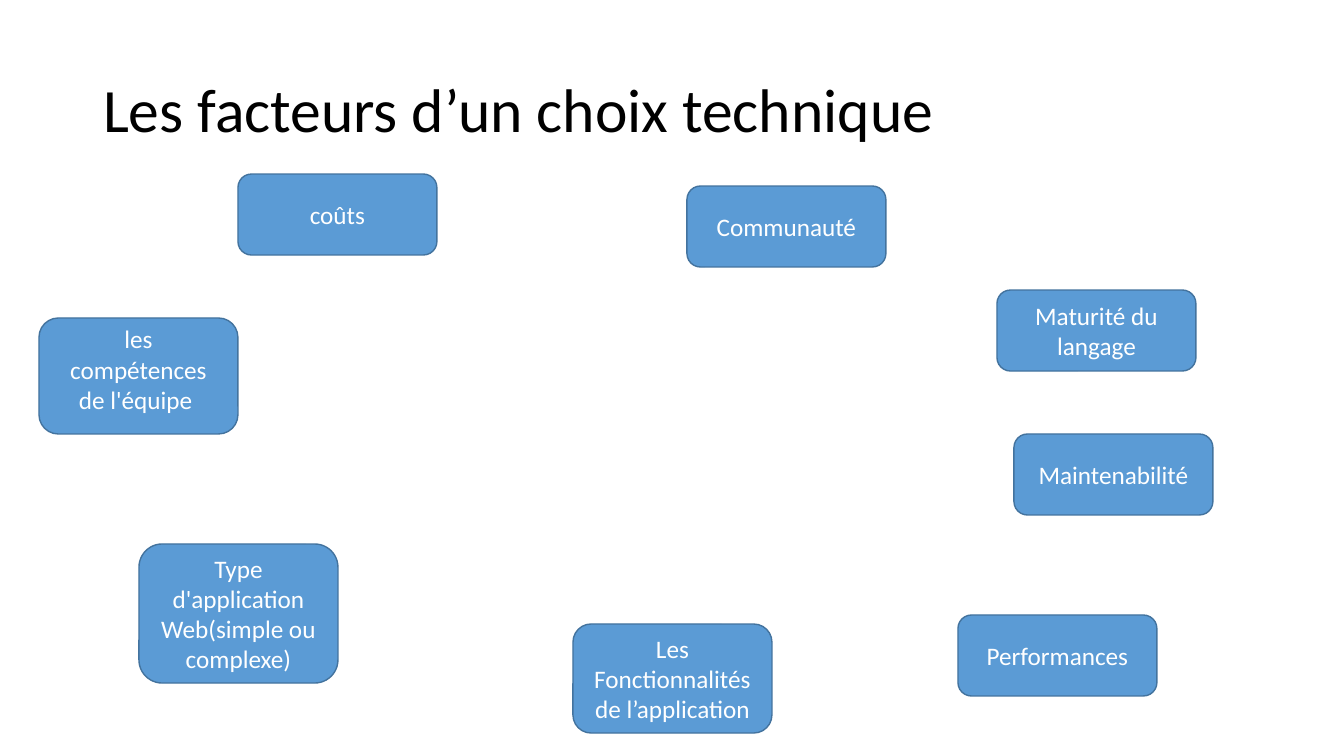
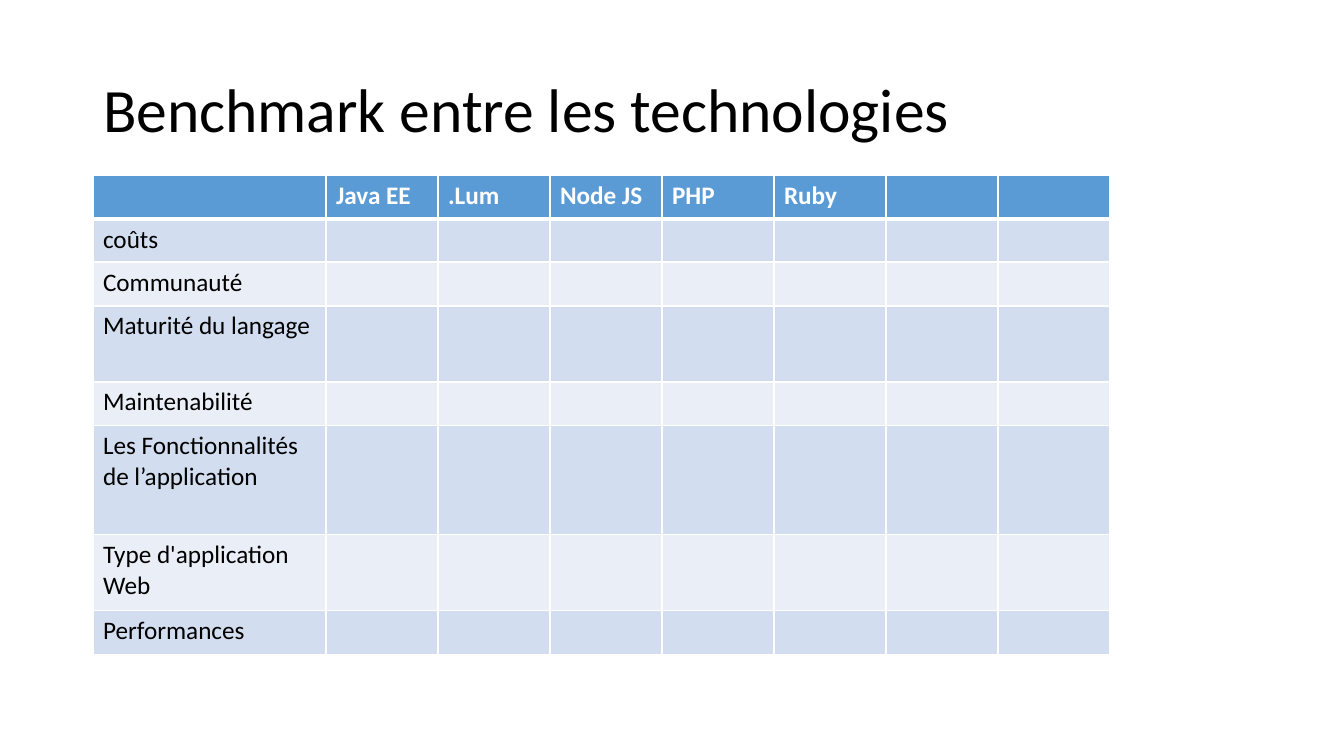
from dataclasses import dataclass

from lxml.etree import SubElement
from pptx import Presentation
from pptx.dml.color import RGBColor
from pptx.enum.shapes import MSO_SHAPE as SHAPE
from pptx.enum.text import MSO_ANCHOR as ANCHOR, MSO_AUTO_SIZE as AUTO, PP_ALIGN as ALIGN
from pptx.oxml.ns import qn
from pptx.slide import Slide
from pptx.table import _Cell as Cell
from pptx.text.text import TextFrame
from pptx.util import Emu, Pt

PX = 914400 / 100.8
FONT = "Calibri"
COLORS = {
    "text": "000000",
    "white": "FFFFFF",
    "blue": "5B9BD5",
    "outline": "43739E",
    "band_dark": "D2DEEF",
    "band_light": "EAEFF7",
}


@dataclass(frozen=True)
class Factor:
    """A rounded box naming one factor."""
    label: str
    x: int
    y: int
    h: int = 81
    top: bool = False


@dataclass(frozen=True)
class Row:
    """A table row: its height and the texts of its first cells."""
    h: int
    texts: tuple[str, ...]


BOX_W = 199
FEATURES = "Les Fonctionnalités de l’application"
FACTORS = [
    Factor("coûts", 238, 174),
    Factor("les compétences de l'équipe ", 39, 318, 116, top=True),
    Factor("Type d'application Web(simple ou complexe)", 139, 544, 139),
    Factor(FEATURES, 573, 624, 109),
    Factor("Performances", 958, 615),
    Factor("Communauté", 687, 186),
    Factor("Maintenabilité", 1014, 434),
    Factor("Maturité du langage", 997, 290),
]

COL_WIDTHS = [233] + [112] * 7
ROWS = [
    Row(44, ("", "Java EE", ".Lum", "Node JS", "PHP", "Ruby")),
    Row(43, ("coûts",)),
    Row(44, ("Communauté",)),
    Row(76, ("Maturité du langage",)),
    Row(44, ("Maintenabilité",)),
    Row(109, (FEATURES,)),
    Row(76, ("Type d'application Web",)),
    Row(44, ("Performances",)),
]


def px(n: float) -> Emu:
    """Turn pixels into EMU."""
    return Emu(round(n * PX))


def rgb(name: str) -> RGBColor:
    """Look up a colour by name."""
    return RGBColor.from_string(COLORS[name])


def write(tf: TextFrame, text: str, *, size: int = 18, color: str = "text",
          bold: bool = False, align: ALIGN = ALIGN.LEFT,
          spacing: float = 1.0) -> None:
    """Put one formatted paragraph in a text frame."""
    tf.word_wrap = True
    p = tf.paragraphs[0]
    p.alignment, p.line_spacing = align, spacing
    r = p.add_run()
    r.text = text
    r.font.name, r.font.size, r.font.bold = FONT, Pt(size), bold
    r.font.color.rgb = rgb(color)


def add_slide(prs: Presentation, title: str) -> Slide:
    """Add a title-only slide with the shared title style."""
    s = prs.slides.add_slide(prs.slide_layouts[5])
    sp = s.shapes.title
    sp.left, sp.top, sp.width, sp.height = map(px, (93, 40, 1159, 146))
    tf = sp.text_frame
    tf.auto_size, tf.vertical_anchor = AUTO.NONE, ANCHOR.MIDDLE
    write(tf, title, size=44, spacing=0.9)
    return s


def add_factor(s: Slide, factor: Factor) -> None:
    """Draw one factor box."""
    sp = s.shapes.add_shape(SHAPE.ROUNDED_RECTANGLE,
                            *map(px, (factor.x, factor.y, BOX_W, factor.h)))
    sp.shadow.inherit = False
    sp.fill.solid()
    sp.fill.fore_color.rgb = rgb("blue")
    sp.line.color.rgb = rgb("outline")
    sp.line.width = Pt(1)
    tf = sp.text_frame
    tf.vertical_anchor = ANCHOR.MIDDLE
    if factor.top:
        tf.vertical_anchor, tf.margin_top = ANCHOR.TOP, 0
    write(tf, factor.label, color="white", align=ALIGN.CENTER)


def format_cell(cell: Cell, fill: str, top: int = 1, bottom: int = 1) -> None:
    """Give a cell white borders and a solid fill."""
    tc_pr = cell._tc.get_or_add_tcPr()
    for tag, width in (("lnL", 1), ("lnR", 1), ("lnT", top), ("lnB", bottom)):
        ln = SubElement(tc_pr, qn(f"a:{tag}"), w=str(Pt(width)))
        solid = SubElement(ln, qn("a:solidFill"))
        SubElement(solid, qn("a:srgbClr"), val=COLORS["white"])
    cell.fill.solid()
    cell.fill.fore_color.rgb = rgb(fill)


def add_benchmark(s: Slide) -> None:
    """Draw the benchmark table with its header and banded rows."""
    height = sum(row.h for row in ROWS)
    table = s.shapes.add_table(len(ROWS), len(COL_WIDTHS),
                               *map(px, (93, 175, sum(COL_WIDTHS), height))).table
    for col, width in zip(table.columns, COL_WIDTHS):
        col.width = px(width)
    for i, row in enumerate(ROWS):
        table.rows[i].height = px(row.h)
        header = i == 0
        fill = "blue" if header else "band_dark" if i % 2 else "band_light"
        for cell in table.rows[i].cells:
            format_cell(cell, fill, top=3 if i == 1 else 1, bottom=3 if header else 1)
        for j, text in enumerate(row.texts):
            if text:
                write(table.cell(i, j).text_frame, text, bold=header,
                      color="white" if header else "text")


def main() -> None:
    """Build and save the presentation."""
    prs = Presentation()
    prs.slide_width, prs.slide_height = px(1344), px(756)
    s = add_slide(prs, "Les facteurs d’un choix technique")
    for factor in FACTORS:
        add_factor(s, factor)
    add_benchmark(add_slide(prs, "Benchmark entre les technologies"))
    prs.save("out.pptx")


main()
